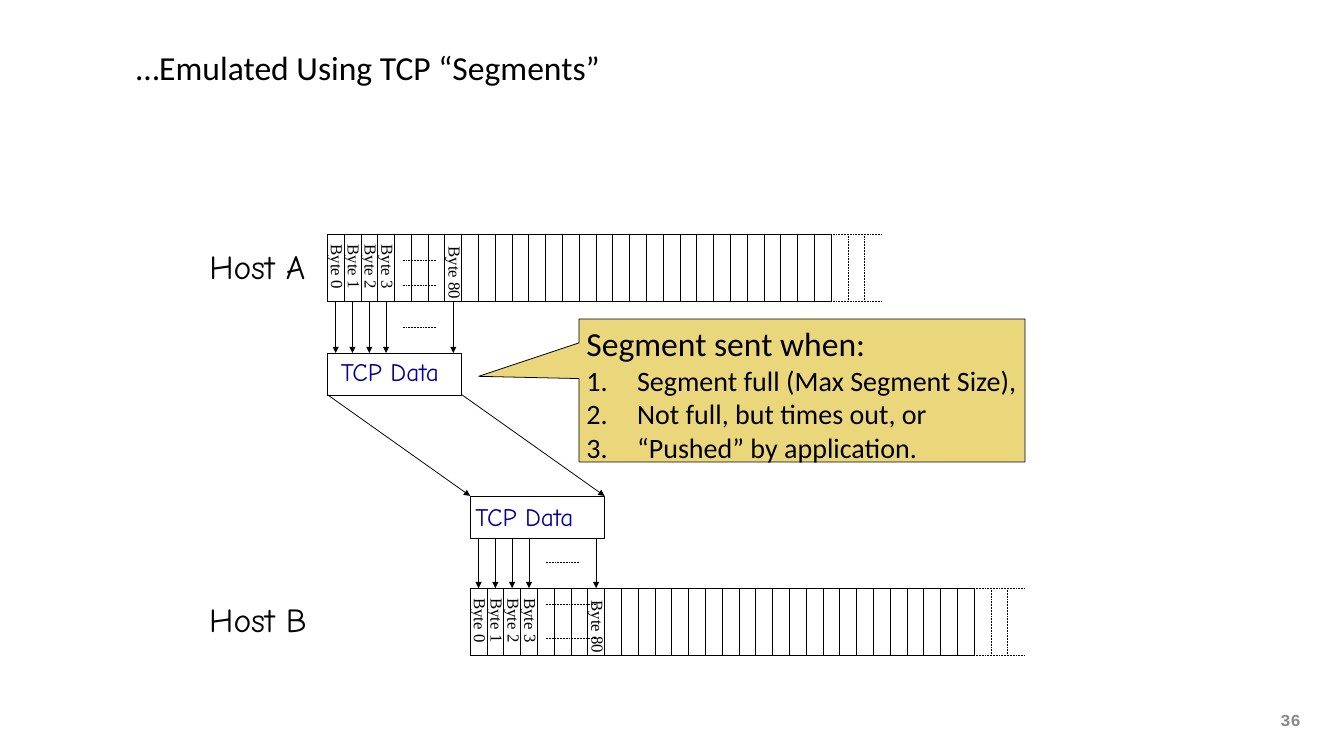
from lxml import etree
from pptx import Presentation
from pptx import util as u
from pptx.dml.color import RGBColor
from pptx.enum import dml, shapes, text
from pptx.oxml.ns import qn

COLORS = {"ink": "000000", "paper": "FFFFFF", "data": "000099",
          "callout": "EAD77B", "number": "898989"}
CELL = 2 / 9            # width of one byte in the stream
STRIP_H = 0.89
SEGMENT_CELLS = 8       # cells covered by one segment
BYTES = {0: "Byte 0", 1: "Byte 1", 2: "Byte 2", 3: "Byte 3", 7: "Byte 80"}
Inches = u.Inches


def rgb(name):
    return RGBColor.from_string(COLORS[name])


def write(paragraph, words, size=16, font="Calibri", color="ink", bold=False):
    """Put words into a paragraph with the given format."""
    run = paragraph.add_run()
    run.text = words
    run.font.size = u.Pt(size)
    run.font.name = font
    run.font.bold = bold
    run.font.color.rgb = rgb(color)


def add_label(slide, box, words, rotation=0, inset=None, **style):
    label = slide.shapes.add_textbox(*map(Inches, box))
    label.rotation = rotation
    frame = label.text_frame
    frame.word_wrap = False
    frame.auto_size = text.MSO_AUTO_SIZE.SHAPE_TO_FIT_TEXT
    if inset is not None:
        set_insets(frame, inset)
    write(frame.paragraphs[0], words, **style)


def set_insets(frame, inset):
    frame.margin_left = frame.margin_right = Inches(inset)
    frame.margin_top = frame.margin_bottom = Inches(inset)


def add_line(slide, start, end, dotted=False, arrow=False):
    line = slide.shapes.add_connector(
        shapes.MSO_CONNECTOR.STRAIGHT, *map(Inches, (*start, *end)))
    line.line.width = u.Pt(0.75)
    line.line.color.rgb = rgb("ink")
    if dotted:
        line.line.dash_style = dml.MSO_LINE.ROUND_DOT
    if arrow:
        etree.SubElement(line.line._get_or_add_ln(), qn("a:tailEnd"), type="triangle")
    etree.SubElement(line._element.spPr, qn("a:effectLst"))


def add_box(slide, kind, box, fill):
    shape = slide.shapes.add_shape(kind, *map(Inches, box))
    shape.shadow.inherit = False
    shape.fill.solid()
    shape.fill.fore_color.rgb = rgb(fill)
    shape.line.color.rgb = rgb("ink")
    shape.line.width = u.Pt(0.75)
    return shape


def add_title(slide, box, words):
    title = slide.shapes.title
    title.left, title.top, title.width, title.height = map(Inches, box)
    frame = title.text_frame
    frame.vertical_anchor = text.MSO_ANCHOR.MIDDLE
    set_insets(frame, 0.06)
    frame.paragraphs[0].alignment = text.PP_ALIGN.LEFT
    write(frame.paragraphs[0], words, size=32)


def add_stream(slide, left, top, gap_width, gap_rows):
    """A strip of byte cells that fades out in dots on the right."""
    bottom = top + STRIP_H
    solid_end = left + 30 * CELL
    for y in (top, bottom):
        add_line(slide, (left, y), (solid_end, y))
        add_line(slide, (left + 33 * CELL, y), (solid_end, y), dotted=True)
    for i in range(33):
        x = left + i * CELL
        add_line(slide, (x, top), (x, bottom), dotted=i > 30)

    # Byte names, turned to run down their cells
    for i, name in BYTES.items():
        width, middle = (0.91, 0.52) if name == "Byte 80" else (0.79, 0.43)
        box = (left + i * CELL + 0.135 - width / 2, top + middle - 0.185, width, 0.37)
        add_label(slide, box, name, rotation=89.8, font="Times New Roman")

    # Dots for the bytes left out
    for row in gap_rows:
        add_line(slide, (left + 1, top + row), (left + 1 + gap_width, top + row),
                 dotted=True)


def add_segment(slide, left, top, label_dx, label_dy):
    add_box(slide, shapes.MSO_SHAPE.RECTANGLE,
            (left, top, SEGMENT_CELLS * CELL, 0.56), "paper")
    add_label(slide, (left + label_dx, top + label_dy, 1.66, 0.5), "TCP Data",
              size=24, font="Comic Neue", color="data")


def add_byte_arrows(slide, left, top, bottom):
    for i in BYTES:
        x = left + (i + 0.5) * CELL
        add_line(slide, (x, top), (x, bottom), arrow=True)
    middle = (top + bottom) / 2
    add_line(slide, (left + 1, middle), (left + 1.45, middle), dotted=True)


def add_callout(slide, box, heading, reasons):
    callout = add_box(slide, shapes.MSO_SHAPE.RECTANGULAR_CALLOUT, box, "callout")
    callout.adjustments[0] = -0.725
    callout.adjustments[1] = -0.099
    frame = callout.text_frame
    frame.word_wrap = True
    frame.vertical_anchor = text.MSO_ANCHOR.TOP
    for i, words in enumerate([heading, *reasons]):
        paragraph = frame.add_paragraph() if i else frame.paragraphs[0]
        paragraph.alignment = text.PP_ALIGN.LEFT
        properties = paragraph._p.get_or_add_pPr()
        properties.set("marL", str(Inches(0.67)))
        properties.set("indent", str(Inches(-0.67)))
        if i:
            etree.SubElement(properties, qn("a:buAutoNum"), type="arabicPeriod")
        write(paragraph, words, size=26.7 if i else 32)


def main():
    deck = Presentation()
    deck.slide_width, deck.slide_height = Inches(17.78), Inches(10)
    slide = deck.slides.add_slide(deck.slide_layouts[5])
    a_left, b_left = 4.33, 6.22

    add_title(slide, (1.74, 0, 14.31, 1.78), "…Emulated Using TCP “Segments”")
    add_label(slide, (16.94, 9.39, 0.46, 0.5), "36", inset=0,
              font="Courier New", color="number", bold=True)

    # Byte streams at both hosts
    add_stream(slide, a_left, 3.1, 0.45, (0.34, 0.67))
    add_stream(slide, b_left, 7.78, 0.67, (0.22, 0.66))
    add_label(slide, (2.67, 3.2, 1.68, 0.64), "Host A", size=32, font="Comic Neue")
    add_label(slide, (2.67, 7.87, 1.63, 0.64), "Host B", size=32, font="Comic Neue")

    # Segment on its way from A to B
    add_segment(slide, a_left, 4.67, 0.08, 0)
    add_segment(slide, b_left, 6.56, -0.03, 0.02)
    for x in (0, SEGMENT_CELLS * CELL):
        add_line(slide, (a_left + x, 5.22), (b_left + x, 6.56), arrow=True)
    add_byte_arrows(slide, a_left, 4, 4.67)
    add_byte_arrows(slide, b_left, 7.11, 7.78)

    add_callout(slide, (7.66, 4.22, 5.9, 1.89), "Segment sent when:",
                ["Segment full (Max Segment Size),",
                 "Not full, but times out, or",
                 "“Pushed” by application."])
    deck.save("out.pptx")


if __name__ == "__main__":
    main()
